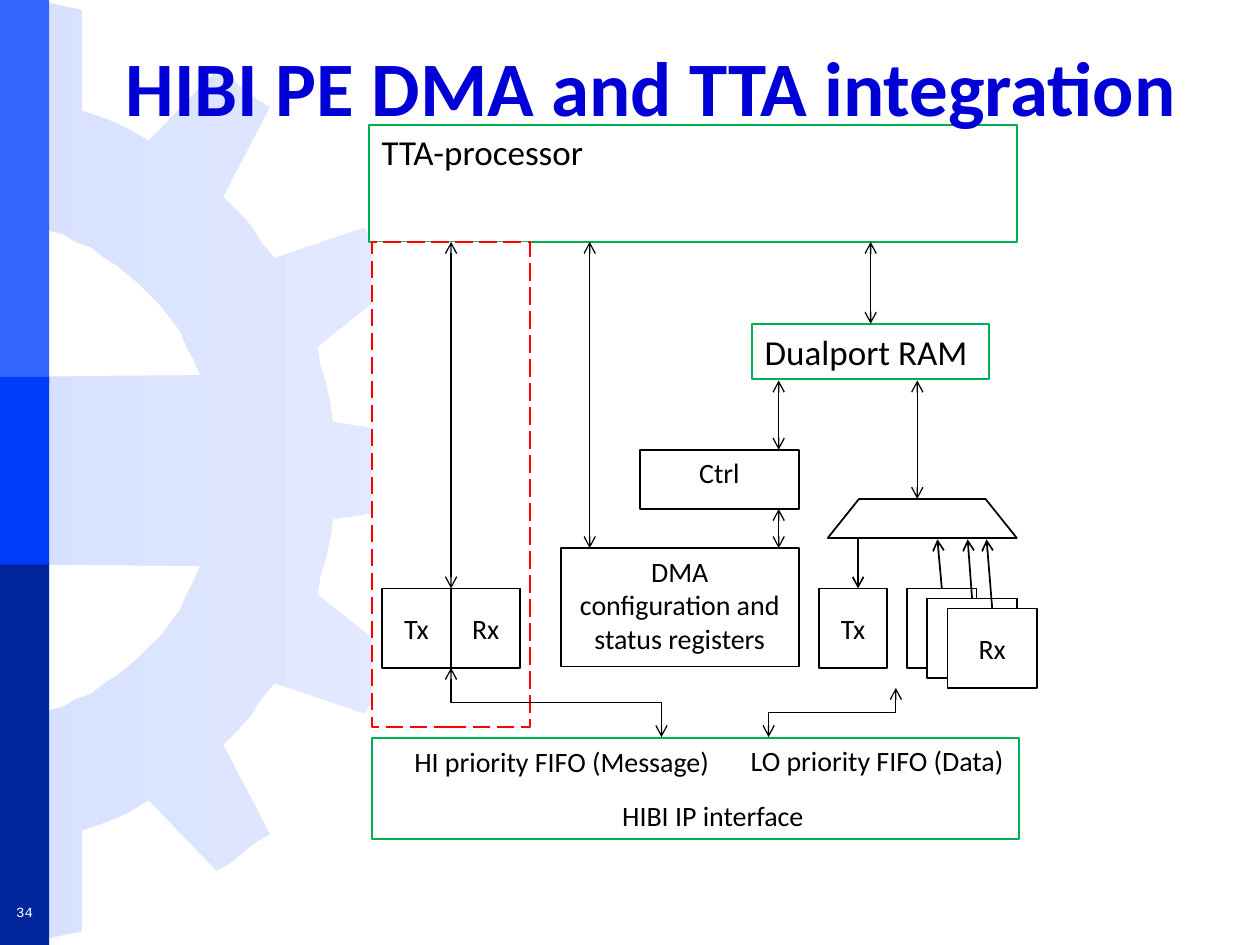
from dataclasses import dataclass

from lxml import etree
from pptx import Presentation
from pptx.dml.color import RGBColor
from pptx.enum.dml import MSO_LINE
from pptx.enum.shapes import MSO_CONNECTOR as LINK, MSO_SHAPE as SHAPE
from pptx.enum.text import MSO_ANCHOR as ANCHOR, PP_ALIGN as ALIGN
from pptx.oxml.ns import qn
from pptx.util import Inches, Pt

CELL = Inches(0.1)
COLUMNS, ROWS = 100, 75
TOP = 0


@dataclass(frozen=True)
class Theme:
    font: str = "Calibri"
    number_font: str = "Courier New"
    title: int = 44
    heading: int = 20
    label: int = 16
    number: int = 8
    ink: str = "000000"
    paper: str = "FFFFFF"
    title_blue: str = "0000D6"
    green: str = "00B050"
    red: str = "FF0000"
    gear: tuple = ("D7E1FF", "E3EAFF")
    bands: tuple = ("3366FF", "00259C", "003CFC")


THEME = Theme()


@dataclass(frozen=True)
class Box:
    col: float
    row: float
    cols: float
    rows: float

    def area(self, col, row, cols, rows):
        return Box(self.col + col, self.row + row, cols, rows)

    def point(self, col, row):
        return self.col + col, self.row + row

    def emu(self):
        return cells(self.col, self.row, self.cols, self.rows)


def cells(*lengths):
    return [round(length * CELL) for length in lengths]


def rgb(value):
    return RGBColor.from_string(value)


def write(holder, text, size=THEME.label, font=THEME.font, color=THEME.ink,
          bold=False, align=ALIGN.CENTER, anchor=ANCHOR.TOP, wrap=True):
    frame = holder.text_frame
    frame.word_wrap = wrap
    frame.vertical_anchor = anchor
    paragraph = frame.paragraphs[0]
    paragraph.alignment = align
    run = paragraph.add_run()
    run.text = text
    run.font.size, run.font.name, run.font.bold = Pt(size), font, bold
    run.font.color.rgb = rgb(color)


def caption(slide, box, text, **style):
    write(slide.shapes.add_textbox(*box.emu()), text, **style)


def block(slide, box, text="", kind=SHAPE.RECTANGLE, fill=THEME.paper,
          line=THEME.ink, weight=1, **style):
    shape = slide.shapes.add_shape(kind, *box.emu())
    shape.shadow.inherit = False
    shape.fill.solid()
    shape.fill.fore_color.rgb = rgb(fill)
    if line:
        shape.line.color.rgb = rgb(line)
        shape.line.width = Pt(weight)
    else:
        shape.line.fill.background()
    if text:
        write(shape, text, **style)
    return shape


def arrow(slide, start, end, kind=LINK.STRAIGHT, weight=0.75, ends=("headEnd", "tailEnd")):
    link = slide.shapes.add_connector(kind, *cells(*start, *end))
    link.line.color.rgb = rgb(THEME.ink)
    link.line.width = Pt(weight)
    properties = link._element.spPr
    for end_tag in ends:
        etree.SubElement(properties.find(qn("a:ln")), qn(f"a:{end_tag}"), type="arrow")
    etree.SubElement(properties, qn("a:effectLst"))
    return link


def vertical_elbow(slide, upper, lower):
    (x1, y1), (x2, y2) = upper, lower
    mid_x, mid_y = (x1 + x2) / 2, (y1 + y2) / 2
    half_x, half_y = (x2 - x1) / 2, (y2 - y1) / 2
    link = arrow(slide, (mid_x - half_y, mid_y + half_x),
                 (mid_x + half_y, mid_y - half_x), kind=LINK.ELBOW)
    link._element.spPr.find(qn("a:xfrm")).set("rot", str(90 * 60000))


def draw_backdrop(slide, box):
    axis = 37.35
    lower = [
        (15.9, 44.9), (15.4, 46.1), (14.8, 47.2), (14.3, 48.4), (13.5, 49.5),
        (12.8, 50.4), (12, 51.2), (11, 52.2), (10.3, 52.8), (9.3, 53.6),
        (8.2, 54.3), (7.2, 55.1), (6, 55.5), (5, 56.1), (3.8, 56.4),
        (2.6, 56.8), (1.3, 57), (1.3, 74.9), (2.7, 74.6), (3.8, 74.5),
        (5.1, 74.2), (6.5, 73.9), (6.5, 65.9), (8, 65.4), (9.3, 64.9),
        (10.5, 64.3), (11.8, 63.5), (17.2, 69.1), (18.4, 68.4), (19.2, 67.7),
        (20.2, 66.9), (21.4, 66.2), (17.7, 59.1), (19, 57.8), (19.9, 56.8),
        (20.7, 55.5), (21.8, 54.2), (28.9, 56.6), (29.6, 55.5), (30.2, 54.3),
        (30.7, 53.4), (31.2, 52), (25.2, 47.2), (25.4, 45.7), (25.9, 44.2),
        (26, 43.5), (26.2, 42.7), (26.4, 41.2), (33.9, 40), (34.1, 38.5),
    ]
    half = [(0, 44.8)] + lower
    upper = [(x, 2 * axis - y) for x, y in reversed(half)]
    outline = [cells(*box.point(*corner)) for corner in half + upper]
    builder = slide.shapes.build_freeform(*outline[0])
    builder.add_line_segments(outline[1:], close=True)
    gear = builder.convert_to_shape()
    gear.shadow.inherit = False
    gear.line.fill.background()
    gear.fill.gradient()
    gear.fill.gradient_angle = 0
    for stop, color in zip(gear.fill.gradient_stops, THEME.gear):
        stop.color.rgb = rgb(color)

    for (row, rows), color in zip(((0, 30.5), (44.6, 30.4), (29.9, 14.9)), THEME.bands):
        block(slide, box.area(0, row, 3.9, rows), fill=color, line=None)
    caption(slide, box.area(0, 71.1, 3.9, 2.6), "34", size=THEME.number,
            font=THEME.number_font, color=THEME.paper, anchor=ANCHOR.MIDDLE, wrap=False)


def draw_title(slide, box):
    caption(slide, box, "HIBI PE DMA and TTA integration", size=THEME.title,
            color=THEME.title_blue, bold=True, align=ALIGN.LEFT, anchor=ANCHOR.MIDDLE)


def draw_processor(slide, box):
    block(slide, box, "TTA-processor", line=THEME.green, size=THEME.heading, align=ALIGN.LEFT)


def draw_interface(slide, box):
    block(slide, box, line=THEME.green)
    for text, col, row, cols in (("HI priority FIFO (Message)", 2.4, 0, 25.7),
                                 ("LO priority FIFO (Data)", 29.1, -0.1, 22.4),
                                 ("HIBI IP interface", 18.9, 4.3, 16.6)):
        caption(slide, box.area(col, row, cols, 3.7), text, align=ALIGN.LEFT, wrap=False)


def draw_message_channel(slide, box):
    frame = block(slide, box, line=THEME.red, weight=1.25)
    frame.line.dash_style = MSO_LINE.LONG_DASH
    for text, col in (("Tx", 0.8), ("Rx", 6.3)):
        block(slide, box.area(col, 27.5, 5.5, 6.3), text, anchor=ANCHOR.MIDDLE)
    bus = arrow(slide, box.point(6.3, 0), box.point(6.3, 27.5))
    bus.begin_connect(frame, TOP)
    vertical_elbow(slide, box.point(6.3, 33.8), box.point(23, 39.3))


def draw_control(slide, box):
    block(slide, box.area(0, 24.3, 18.9, 9.4), "DMA configuration and status registers")
    block(slide, box.area(6.3, 16.5, 12.6, 4.7), "Ctrl")
    for col, start, end in ((2.3, 0, 24.3), (17.3, 11, 16.5), (17.3, 21.2, 24.3)):
        arrow(slide, box.point(col, start), box.point(col, end))


def draw_data_channel(slide, box):
    memory = block(slide, box.area(0, 6.5, 18.8, 4.4), "Dualport RAM",
                   line=THEME.green, size=THEME.heading, align=ALIGN.LEFT)
    arrow(slide, box.point(9.4, 0), box.point(9.4, 6.5)).end_connect(memory, TOP)
    arrow(slide, box.point(13.1, 11), box.point(13.1, 20.4))

    mux = block(slide, box.area(6, 20.4, 15, 3.1), kind=SHAPE.TRAPEZOID)
    mux.adjustments[0] = 0.8
    block(slide, box.area(5.3, 27.5, 5.4, 6.3), "Tx", anchor=ANCHOR.MIDDLE)
    arrow(slide, box.point(8.4, 23.6), box.point(8.4, 27.5), weight=1, ends=("tailEnd",))

    receivers = ((12.3, 5.5, 14.7, ""), (13.9, 7.1, 17.1, ""), (15.5, 7.1, 18.6, "Rx"))
    for layer, (col, cols, port, text) in enumerate(receivers):
        row = 27.5 + 0.8 * layer
        receiver = block(slide, box.area(col, row, cols, 6.3), text, anchor=ANCHOR.MIDDLE)
        feed = arrow(slide, box.point(port, 23.6), box.point(col + cols / 2, row),
                     weight=1, ends=("headEnd",))
        feed.end_connect(receiver, TOP)
    vertical_elbow(slide, box.point(11.4, 35.4), box.point(1.3, 39.3))


def main():
    deck = Presentation()
    deck.slide_width, deck.slide_height = cells(COLUMNS, ROWS)
    slide = deck.slides.add_slide(deck.slide_layouts[6])
    page = Box(0, 0, COLUMNS, ROWS)
    draw_backdrop(slide, page)
    draw_processor(slide, page.area(29.3, 9.9, 51.4, 9.3))
    draw_interface(slide, page.area(29.5, 58.6, 51.4, 8))
    draw_message_channel(slide, page.area(29.5, 19.2, 12.6, 38.5))
    draw_title(slide, page.area(9, 2.1, 86.6, 9.4))
    draw_control(slide, page.area(44.5, 19.2, 18.9, 33.7))
    draw_data_channel(slide, page.area(59.7, 19.2, 22.6, 39.3))
    deck.save("out.pptx")


if __name__ == "__main__":
    main()
